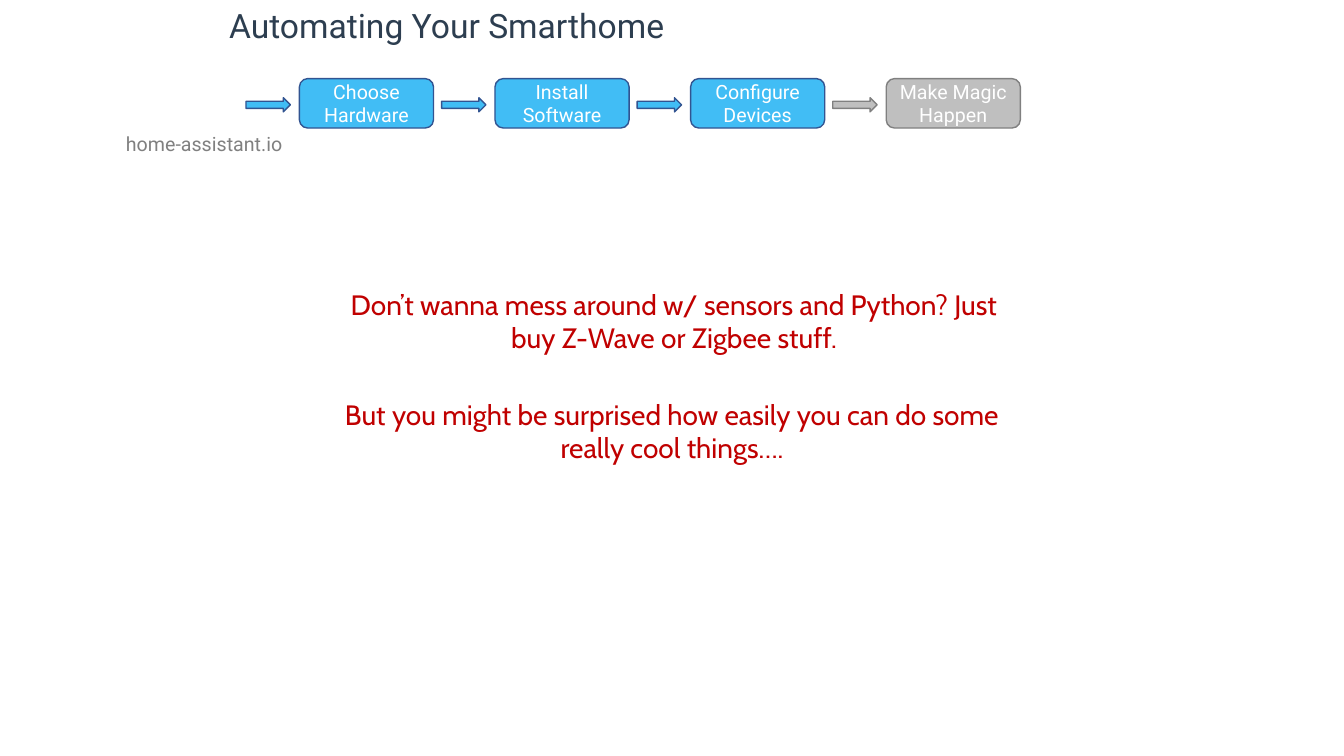
from pptx import Presentation
from pptx import util as u
from pptx.dml.color import RGBColor
from pptx.enum import shapes, text


def color(value):
    return RGBColor.from_string(value)


class Deck:
    """Holds the style and the current slide, and adds its elements."""

    ACTIVE = {"fill": "41BDF5", "line": "325491"}
    PENDING = {"fill": "BFBFBF", "line": "808080"}
    TITLE = {"name": "Roboto", "size": u.Pt(24), "bold": False, "color": "2D3E50"}
    STEP = {"name": "Roboto", "size": u.Pt(14), "color": "FFFFFF"}
    SOURCE = {"name": "Roboto", "size": u.Pt(14), "color": "808080"}
    MESSAGE = {"name": "Cabin", "size": u.Pt(20), "color": "C00000"}

    def __init__(self, prs):
        self.slide = prs.slides.add_slide(prs.slide_layouts[5])

    def set_text(self, sp, words, style, anchor=text.MSO_ANCHOR.TOP):
        tf = sp.text_frame
        frame = {"word_wrap": True, "auto_size": text.MSO_AUTO_SIZE.NONE,
                 "vertical_anchor": anchor}
        for key, value in frame.items():
            setattr(tf, key, value)
        p = tf.paragraphs[0]
        p.alignment = text.PP_ALIGN.CENTER
        r = p.add_run()
        r.text = words
        for key, value in style.items():
            if key == "color":
                r.font.color.rgb = color(value)
            else:
                setattr(r.font, key, value)

    def title(self, words, *box):
        sp = self.slide.shapes.title
        for key, value in zip(("left", "top", "width", "height"), box):
            setattr(sp, key, u.Inches(value))
        self.set_text(sp, words, self.TITLE)

    def label(self, words, style, *box):
        sp = self.slide.shapes.add_textbox(*map(u.Inches, box))
        self.set_text(sp, words, style)

    def shape(self, kind, look, *box):
        sp = self.slide.shapes.add_shape(kind, *map(u.Inches, box))
        sp.shadow.inherit = False
        sp.fill.solid()
        sp.fill.fore_color.rgb = color(look["fill"])
        sp.line.color.rgb = color(look["line"])
        sp.line.width = u.Pt(1)
        return sp

    def step(self, words, look, left):
        self.shape(shapes.MSO_SHAPE.RIGHT_ARROW, look, left, 0.97, 0.44, 0.14)
        sp = self.shape(shapes.MSO_SHAPE.ROUNDED_RECTANGLE, look,
                        left + 0.53, 0.78, 1.33, 0.49)
        self.set_text(sp, words, self.STEP, text.MSO_ANCHOR.MIDDLE)


def main():
    prs = Presentation()
    prs.slide_width, prs.slide_height = u.Inches(13.33), u.Inches(7.5)
    deck = Deck(prs)
    deck.title("Automating Your Smarthome", 0.85, 0, 7.16, 0.5)
    deck.label("home-assistant.io", deck.SOURCE, 1, 1.26, 2.05, 0.34)
    steps = [
        ("Choose Hardware", deck.ACTIVE),
        ("Install Software", deck.ACTIVE),
        ("Configure Devices", deck.ACTIVE),
        ("Make Magic Happen", deck.PENDING),
    ]
    for i, (words, look) in enumerate(steps):
        deck.step(words, look, 2.44 + 1.94 * i)
    deck.label("Don’t wanna mess around w/ sensors and Python? "
               "Just buy Z-Wave or Zigbee stuff.",
               deck.MESSAGE, 3.14, 2.8, 7.09, 0.77)
    deck.label("But you might be surprised how easily you can do some "
               "really cool things….",
               deck.MESSAGE, 3.12, 3.89, 7.09, 0.77)
    prs.save("out.pptx")


if __name__ == "__main__":
    main()
